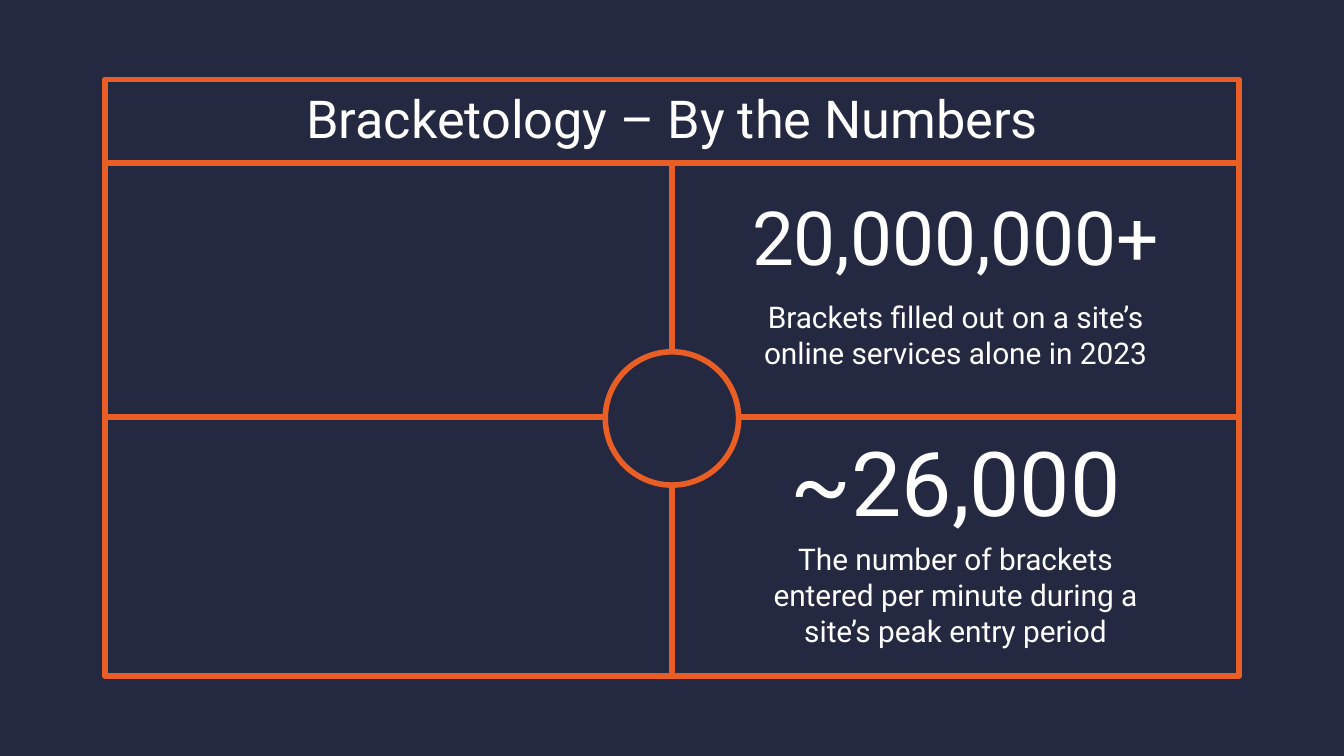
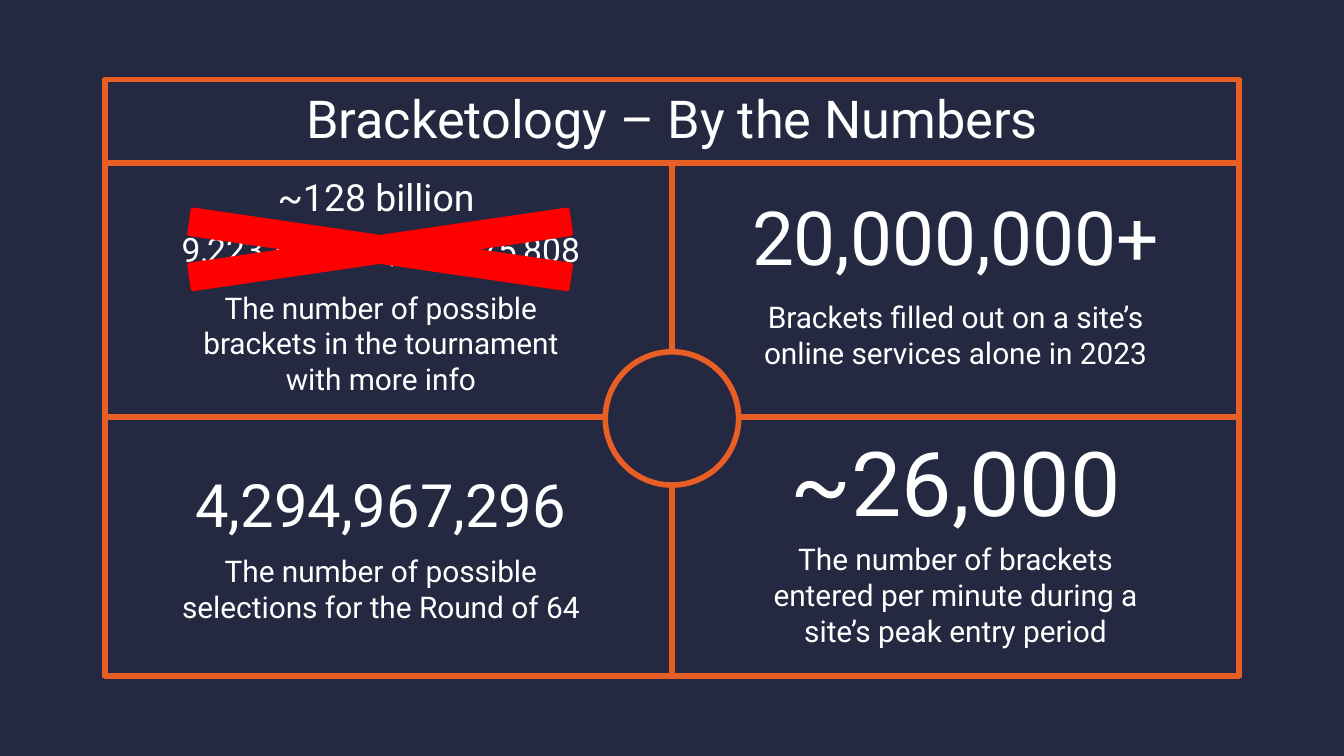
"""Build two slides of bracket statistics set in a court-shaped frame."""
from dataclasses import dataclass

import lxml.etree
import pptx
import pptx.dml.color
import pptx.enum.shapes
import pptx.enum.text
import pptx.oxml.ns
import pptx.util

Cm = pptx.util.Cm
Shape = pptx.enum.shapes.MSO_SHAPE


@dataclass(frozen=True)
class Theme:
    font: str = "Roboto"
    navy: str = "242841"
    orange: str = "E95E24"
    red: str = "FF0000"
    white: str = "FFFFFF"
    title: int = 28
    label: int = 16
    rule: int = 3
    cross: int = 2
    inset: float = 0.25


THEME = Theme()
WIDTH, HEIGHT = 25.4, 14.29
LEFT, TOP, RIGHT, BOTTOM = 1.98, 1.5, 23.42, 12.78
MIDDLE, HEADER, HALFWAY = WIDTH / 2, 3.08, 7.88
CIRCLE = 2.52
LEFT_COLUMN, RIGHT_COLUMN = 7.2, 18.06
NUMBER_WIDTH, LABEL_WIDTH = 10.11, 8.26


def rgb(color):
    return pptx.dml.color.RGBColor.from_string(color)


def place(shape, left, top, width, height):
    shape.left, shape.top = Cm(left), Cm(top)
    shape.width, shape.height = Cm(width), Cm(height)


def write(box, text, *, size, color=THEME.white, font=THEME.font):
    frame = box.text_frame
    frame.word_wrap = True
    frame.auto_size = pptx.enum.text.MSO_AUTO_SIZE.NONE
    frame.vertical_anchor = pptx.enum.text.MSO_ANCHOR.MIDDLE
    frame.margin_left = frame.margin_right = Cm(THEME.inset)
    frame.margin_top = frame.margin_bottom = Cm(THEME.inset)
    para = frame.paragraphs[0]
    para.alignment = pptx.enum.text.PP_ALIGN.CENTER
    span = para.add_run()
    span.text = text
    span.font.name = font
    span.font.size = pptx.util.Pt(size)
    span.font.color.rgb = rgb(color)


class Page:
    def __init__(self, deck, theme=THEME):
        self.theme = theme
        self.slide = deck.slides.add_slide(deck.slide_layouts[5])
        self.shapes = self.slide.shapes

    def title(self, text):
        box = self.shapes.title
        place(box, LEFT, 1.42, RIGHT - LEFT, 1.6)
        write(box, text, size=self.theme.title)

    def words(self, text, center, top, width, height, size):
        box = self.shapes.add_textbox(0, 0, 0, 0)
        place(box, center - width / 2, top, width, height)
        write(box, text, size=size)

    def number(self, text, center, top, size, height=1.75):
        self.words(text, center, top, NUMBER_WIDTH, height, size)

    def label(self, text, center, top, height=1.27):
        self.words(text, center, top, LABEL_WIDTH, height, self.theme.label)

    def outline(self, line, color, weight):
        line.color.rgb = rgb(color)
        line.width = pptx.util.Pt(weight)

    def shape(self, kind, left, top, width, height, fill, color, weight):
        shape = self.shapes.add_shape(kind, 0, 0, 0, 0)
        place(shape, left, top, width, height)
        shape.shadow.inherit = False
        if fill:
            shape.fill.solid()
            shape.fill.fore_color.rgb = rgb(fill)
        else:
            shape.fill.background()
        self.outline(shape.line, color, weight)
        stroke = shape.line.fill._xPr
        lxml.etree.SubElement(stroke, pptx.oxml.ns.qn("a:round"))

    def rule(self, *ends):
        kind = pptx.enum.shapes.MSO_CONNECTOR.STRAIGHT
        line = self.shapes.add_connector(kind, *map(Cm, ends))
        self.outline(line.line, self.theme.orange, self.theme.rule)
        properties = line._element.spPr
        lxml.etree.SubElement(properties, pptx.oxml.ns.qn("a:effectLst"))

    def court(self):
        style = self.theme.orange, self.theme.rule
        self.shape(Shape.RECTANGLE, LEFT, TOP, RIGHT - LEFT, BOTTOM - TOP, None, *style)
        self.rule(LEFT, HEADER, RIGHT, HEADER)
        self.rule(MIDDLE, BOTTOM, MIDDLE, HEADER)
        self.rule(RIGHT, HALFWAY, LEFT, HALFWAY)
        self.shape(Shape.OVAL, MIDDLE - CIRCLE / 2, 6.65, CIRCLE, CIRCLE, self.theme.navy, *style)

    def cross(self, left, top, width, height):
        red = self.theme.red
        self.shape(Shape.MATH_MULTIPLY, left, top, width, height, red, red, self.theme.cross)


def add_numbers_page(deck):
    page = Page(deck)
    page.title("Bracketology – By the Numbers")
    page.court()
    page.number("20,000,000+", RIGHT_COLUMN, 3.56, 40, 1.8)
    page.label("Brackets filled out on a site’s online services alone in 2023", RIGHT_COLUMN, 5.69)
    page.number("~26,000", RIGHT_COLUMN, 8.18, 48, 1.8)
    page.label(
        "The number of brackets entered per minute during a site’s peak entry period",
        RIGHT_COLUMN, 10.13, 2.21,
    )
    return page


def add_possibilities(page):
    page.number("9,223,372,036,854,775,808", LEFT_COLUMN, 3.84, 18)
    page.label("The number of possible brackets in the tournament", LEFT_COLUMN, 5.51)
    page.number("4,294,967,296", LEFT_COLUMN, 8.64, 32)
    page.label("The number of possible selections for the Round of 64", LEFT_COLUMN, 10.49)
    page.cross(0.3, 3.71, 13.77, 2.01)
    page.number("~128 billion", LEFT_COLUMN - 0.09, 2.84, 20)
    page.label("with more info", LEFT_COLUMN, 6.53)


def main():
    deck = pptx.Presentation()
    deck.slide_width, deck.slide_height = Cm(WIDTH), Cm(HEIGHT)
    background = deck.slide_master.background.fill
    background.solid()
    background.fore_color.rgb = rgb(THEME.navy)
    add_numbers_page(deck)
    add_possibilities(add_numbers_page(deck))
    deck.save("out.pptx")


if __name__ == "__main__":
    main()
